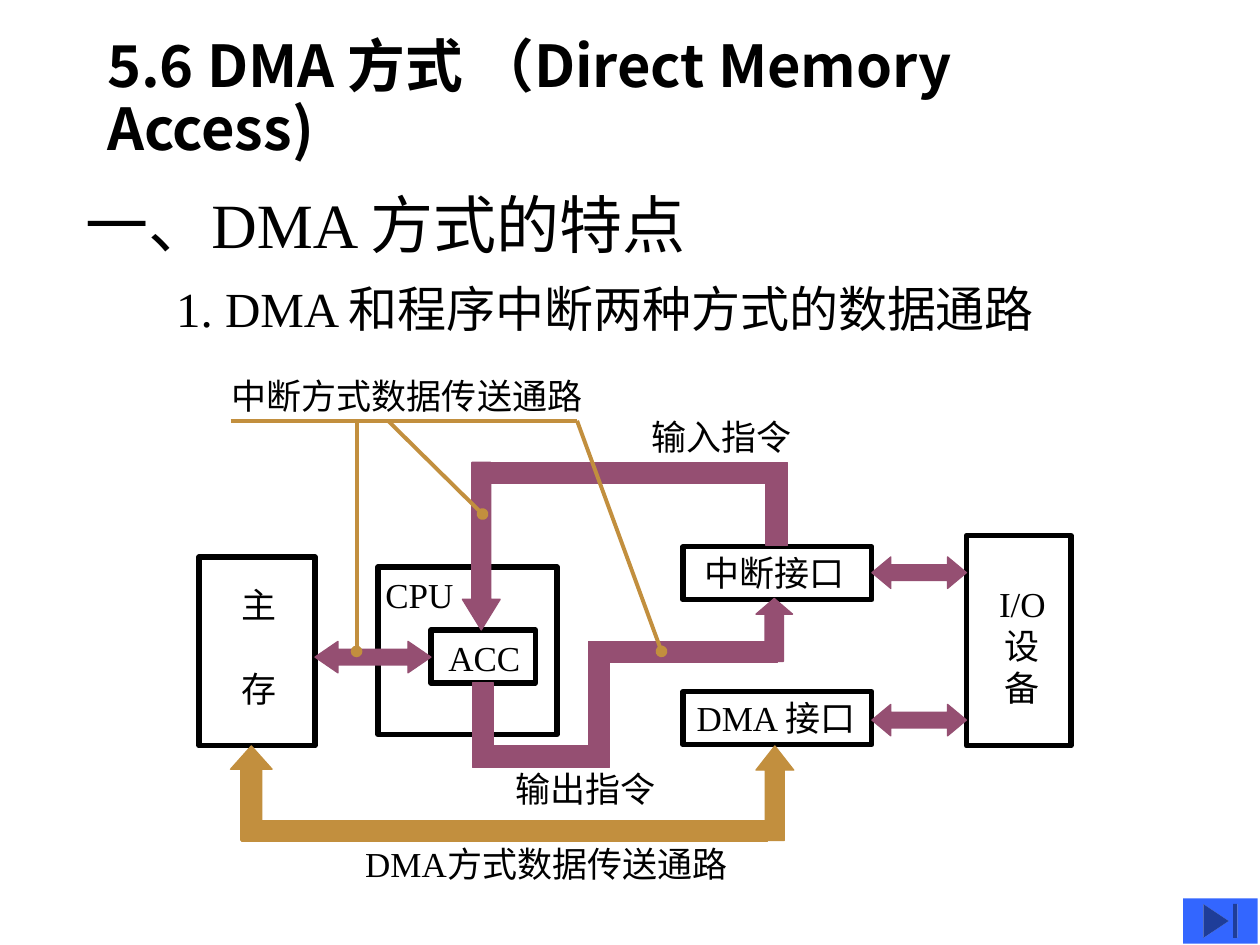
from dataclasses import dataclass

import pptx
import pptx.dml.color
import pptx.enum.shapes
import pptx.enum.text
import pptx.oxml
import pptx.oxml.ns
import pptx.util

Inches = pptx.util.Inches
Pt = pptx.util.Pt
Kind = pptx.enum.shapes.MSO_SHAPE
Align = pptx.enum.text.PP_ALIGN

HUES = {"ink": "000000", "plum": "954F72", "gold": "C28F3E", "blue": "3366FF"}
SERIF = "Times New Roman"
SANS = "Noto Sans CJK SC"
BAR = 0.17  # thickness of a data path


@dataclass
class Label:
    text: str
    left: float
    top: float
    width: float
    height: float = 0.44
    size: int = 20
    align: int = Align.LEFT
    gap: int = 0  # points between paragraphs
    wrap: bool = False


@dataclass
class Frame:
    left: float
    top: float
    width: float
    height: float


@dataclass
class Path:
    left: float
    top: float
    width: float
    height: float
    hue: str = "plum"
    kind: int = Kind.RECTANGLE
    head: float = 0  # arrowhead length relative to its thickness


@dataclass
class Lead:
    start: tuple
    end: tuple
    dot: bool = True


HEADS = [
    Label("一、DMA 方式的特点", 0.58, 1.42, 5.58, 0.7, 36, wrap=True),
    Label("1. DMA 和程序中断两种方式的数据通路", 1.3, 2.16, 7.12, 0.57, 28),
]
FRAMES = [
    Frame(3, 4.5, 1.42, 1.33),
    Frame(1.58, 4.42, 0.92, 1.5),
    Frame(3.42, 5, 0.83, 0.42),
    Frame(5.42, 4.34, 1.5, 0.42),
    Frame(5.42, 5.49, 1.5, 0.42),
    Frame(7.67, 4.25, 0.83, 1.67),
]
NAMES = [
    Label("CPU", 2.96, 4.5, 1.25, wrap=True),
    Label("主\n存", 1.82, 4.58, 0.48, 1.1, gap=24),
    Label("ACC", 3.46, 5, 0.77, 0.42),
    Label("中断接口", 5.49, 4.33, 1.31),
    Label("DMA 接口", 5.43, 5.48, 1.54),
    Label("I/O\n设\n备", 7.83, 4.57, 0.57, 1.1, align=Align.CENTER),
]
PATHS = [
    # ACC out to the interrupt interface
    Path(3.75, 5.42, BAR, 0.58),
    Path(3.75, 5.92, 1, BAR),
    Path(4.67, 5.17, BAR, 0.92),
    Path(4.67, 5.09, 1.5, BAR),
    Path(6, 4.75, 0.29, 0.5, "plum", Kind.UP_ARROW, 0.43),
    # interrupt interface back to ACC
    Path(6.08, 3.75, BAR, 0.58),
    Path(3.75, 3.67, 2.5, BAR),
    Path(3.67, 3.67, 0.3, 1.33, "plum", Kind.DOWN_ARROW, 0.81),
    # two-way links
    Path(2.5, 5.09, 0.92, 0.25, "plum", Kind.LEFT_RIGHT_ARROW, 0.73),
    Path(6.92, 4.42, 0.75, 0.25, "plum", Kind.LEFT_RIGHT_ARROW, 0.6),
    Path(6.92, 5.59, 0.75, 0.25, "plum", Kind.LEFT_RIGHT_ARROW, 0.6),
    # DMA route
    Path(1.83, 5.92, 0.33, 0.75, "gold", Kind.UP_ARROW, 0.56),
    Path(1.92, 6.51, 4.17, BAR, "gold"),
    Path(6, 5.92, 0.3, 0.75, "gold", Kind.UP_ARROW, 0.64),
]
LEADS = [
    Lead((1.83, 3.34), (4.58, 3.34), False),
    Lead((2.83, 3.34), (2.83, 5.17)),
    Lead((3.08, 3.34), (3.83, 4.08)),
    Lead((4.58, 3.34), (5.25, 5.17)),
]
NOTES = [
    Label("中断方式数据传送通路", 1.74, 2.92, 2.98),
    Label("输入指令", 5.07, 3.25, 1.31),
    Label("输出指令", 3.99, 6.04, 1.31),
    Label("DMA方式数据传送通路", 2.8, 6.64, 3.14),
]


def tint(hue: str) -> pptx.dml.color.RGBColor:
    return pptx.dml.color.RGBColor.from_string(HUES[hue])


def place(item) -> tuple:
    return tuple(map(Inches, (item.left, item.top, item.width, item.height)))


def style(para, size: int, face: str, bold: bool = False) -> None:
    font = para.font
    font.size, font.name, font.bold = Pt(size), face, bold
    font.color.rgb = tint("ink")


def add_title(slide) -> None:
    title = slide.shapes.title
    title.left, title.top, title.width, title.height = place(
        Frame(0.75, 0.17, 8.5, 1.25))
    frame = title.text_frame
    frame.text = "5.6 DMA 方式 （Direct Memory Access)"
    frame.auto_size = pptx.enum.text.MSO_AUTO_SIZE.NONE
    frame.vertical_anchor = pptx.enum.text.MSO_ANCHOR.MIDDLE
    para = frame.paragraphs[0]
    para.alignment = Align.LEFT
    para.line_spacing = 0.9
    style(para, 33, SANS, True)


def add_label(slide, label: Label) -> None:
    frame = slide.shapes.add_textbox(*place(label)).text_frame
    frame.word_wrap = label.wrap
    frame.text = label.text
    for rank, para in enumerate(frame.paragraphs):
        para.alignment = label.align
        if rank and label.gap:
            para.space_before = Pt(label.gap)
        style(para, label.size, SERIF)


def add_frame(slide, frame: Frame) -> None:
    """Draw an unfilled unit of the machine."""
    shape = slide.shapes.add_shape(Kind.RECTANGLE, *place(frame))
    shape.shadow.inherit = False
    shape.fill.background()
    shape.line.color.rgb = tint("ink")
    shape.line.width = Pt(3)


def add_path(slide, path: Path) -> None:
    shape = slide.shapes.add_shape(path.kind, *place(path))
    shape.shadow.inherit = False
    if path.head:
        shape.adjustments[0] = 0.5
        shape.adjustments[1] = path.head
    shape.fill.solid()
    shape.fill.fore_color.rgb = shape.line.color.rgb = tint(path.hue)
    shape.line.width = Pt(0.75)


def add_lead(slide, lead: Lead) -> None:
    """Draw a leader line, with a dot where it meets a data path."""
    line = slide.shapes.add_connector(
        pptx.enum.shapes.MSO_CONNECTOR.STRAIGHT,
        *map(Inches, lead.start + lead.end))
    line.line.color.rgb = tint("gold")
    line.line.width = Pt(2.25)
    make, name = pptx.oxml.xmlchemy.OxmlElement, pptx.oxml.ns.qn
    props = line.element.spPr
    if lead.dot:
        dot = make("a:tailEnd")
        dot.set("type", "oval")
        props.find(name("a:ln")).append(dot)
    props.append(make("a:effectLst"))


def add_button(slide) -> None:
    shape = slide.shapes.add_shape(
        Kind.ACTION_BUTTON_END, *place(Frame(9.39, 7.13, 0.59, 0.36)))
    shape.shadow.inherit = False
    shape.fill.solid()
    shape.fill.fore_color.rgb = tint("blue")
    shape.line.fill.background()


def main() -> None:
    deck = pptx.Presentation()
    deck.slide_width, deck.slide_height = Inches(10), Inches(7.5)
    slide = deck.slides.add_slide(deck.slide_layouts[5])
    add_title(slide)
    for items, draw in (
        (HEADS, add_label),
        (FRAMES, add_frame),
        (NAMES, add_label),
        (PATHS, add_path),
        (LEADS, add_lead),
        (NOTES, add_label),
    ):
        for item in items:
            draw(slide, item)
    add_button(slide)
    deck.save("out.pptx")


if __name__ == "__main__":
    main()
